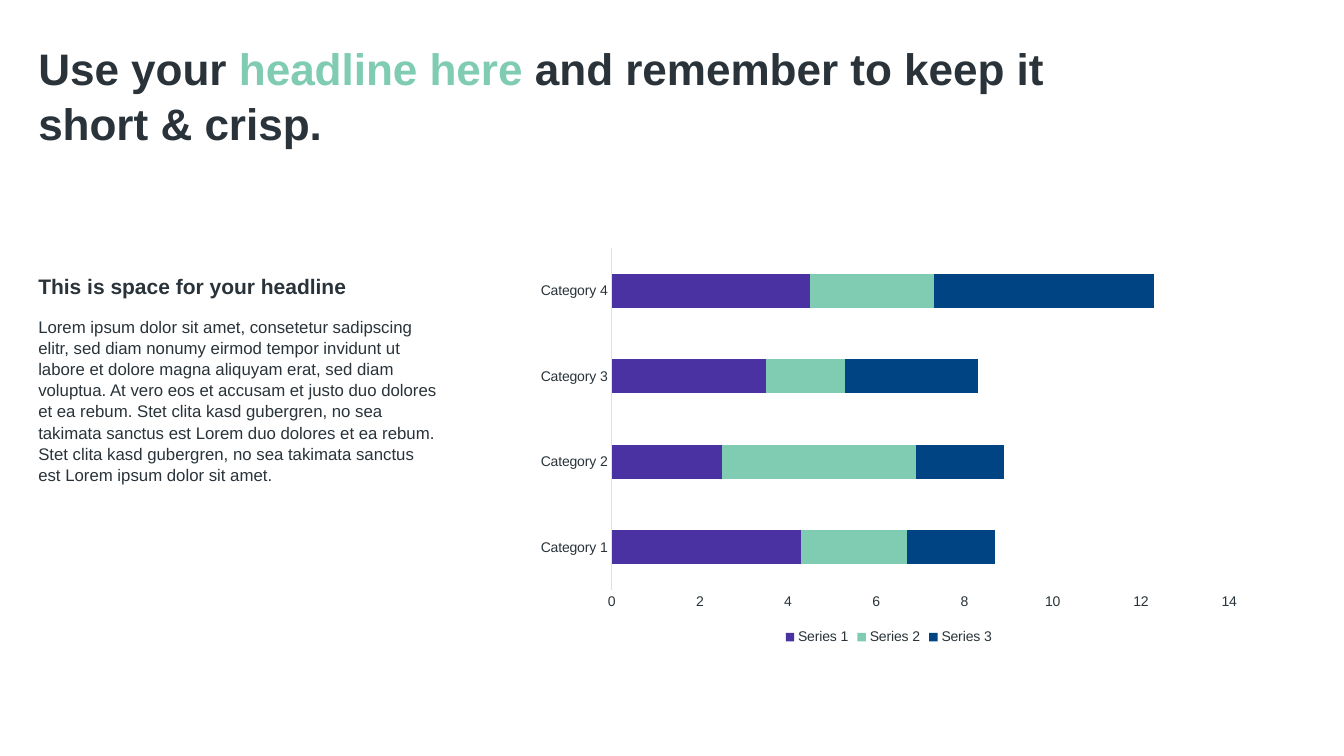
from pptx import Presentation
from pptx.chart.data import CategoryChartData
from pptx.dml.color import RGBColor
from pptx.enum.chart import XL_CHART_TYPE, XL_LEGEND_POSITION, XL_TICK_MARK
from pptx.enum.text import MSO_ANCHOR, PP_ALIGN
from pptx.util import Inches, Pt

BAR_STACKED = XL_CHART_TYPE.BAR_STACKED
LEGEND_BOTTOM = XL_LEGEND_POSITION.BOTTOM
NO_TICKS = XL_TICK_MARK.NONE
TOP, BOTTOM = MSO_ANCHOR.TOP, MSO_ANCHOR.BOTTOM
LEFT = PP_ALIGN.LEFT

FONT = "Arial"
INK, MINT, PURPLE, NAVY, AXIS_GREY = "293339", "7FCCB2", "4A32A3", "004484", "DBE1E5"
MARGIN = 0.38

HEADLINE = [
    ("Use your ", INK),
    ("headline here ", MINT),
    ("and remember to keep it short & crisp.", INK),
]
SUBHEAD = "This is space for your headline"
BODY = (
    "Lorem ipsum dolor sit amet, consetetur sadipscing elitr, sed diam nonumy "
    "eirmod tempor invidunt ut labore et dolore magna aliquyam erat, sed diam "
    "voluptua. At vero eos et accusam et justo duo dolores et ea rebum. Stet "
    "clita kasd gubergren, no sea takimata sanctus est Lorem duo dolores et ea "
    "rebum. Stet clita kasd gubergren, no sea takimata sanctus est Lorem ipsum "
    "dolor sit amet."
)
CATEGORIES = ["Category 1", "Category 2", "Category 3", "Category 4"]
SERIES = [
    ("Series 1", [4.3, 2.5, 3.5, 4.5], PURPLE),
    ("Series 2", [2.4, 4.4, 1.8, 2.8], MINT),
    ("Series 3", [2, 2, 3, 5], NAVY),
]


def rgb(hex_color):
    return RGBColor.from_string(hex_color)


def style_font(font, size, color=INK, bold=False):
    font.name = FONT
    font.size = Pt(size)
    font.bold = bold
    font.color.rgb = rgb(color)


def set_frame(frame, anchor):
    """Wrap the text, remove the insets and return the first paragraph."""
    frame.word_wrap = True
    frame.vertical_anchor = anchor
    frame.margin_left = frame.margin_right = 0
    frame.margin_top = frame.margin_bottom = 0
    paragraph = frame.paragraphs[0]
    paragraph.alignment = LEFT
    return paragraph


def place_headline(title):
    title.left, title.top = Inches(MARGIN), Inches(MARGIN)
    title.width, title.height = Inches(10.7), Inches(1.14)
    paragraph = set_frame(title.text_frame, TOP)
    paragraph.line_spacing = 1.05
    for text, color in HEADLINE:
        run = paragraph.add_run()
        run.text = text
        style_font(run.font, 31.5, color, bold=True)


def add_text(slide, text, top, height, size, anchor=TOP, bold=False, spacing=1.05):
    box = slide.shapes.add_textbox(
        Inches(MARGIN), Inches(top), Inches(4), Inches(height)
    )
    paragraph = set_frame(box.text_frame, anchor)
    paragraph.text = text
    paragraph.line_spacing = spacing
    style_font(paragraph.runs[0].font, size, bold=bold)


def add_stacked_bars(slide):
    data = CategoryChartData()
    data.categories = CATEGORIES
    for name, values, _ in SERIES:
        data.add_series(name, values)
    chart = slide.shapes.add_chart(
        BAR_STACKED, Inches(5.22), Inches(2.38), Inches(7.19), Inches(4.06), data
    ).chart
    style_font(chart.font, 10)
    chart.has_title = False
    chart.has_legend = True
    chart.legend.position = LEGEND_BOTTOM
    chart.legend.include_in_layout = False
    style_font(chart.legend.font, 10)

    plot = chart.plots[0]
    plot.gap_width = 150
    plot.overlap = 100
    plot.vary_by_categories = False
    for series, (_, _, color) in zip(plot.series, SERIES):
        series.format.fill.solid()
        series.format.fill.fore_color.rgb = rgb(color)

    for axis in (chart.category_axis, chart.value_axis):
        axis.major_tick_mark = axis.minor_tick_mark = NO_TICKS
        axis.has_major_gridlines = False
        style_font(axis.tick_labels.font, 10)
    chart.value_axis.format.line.fill.background()
    category_line = chart.category_axis.format.line
    category_line.color.rgb = rgb(AXIS_GREY)
    category_line.width = Pt(0.75)


def main():
    deck = Presentation()
    deck.slide_width, deck.slide_height = Inches(13.33), Inches(7.5)
    slide = deck.slides.add_slide(deck.slide_layouts.get_by_name("Title Only"))
    place_headline(slide.shapes.title)
    add_text(slide, SUBHEAD, 2.38, 0.58, 15, anchor=BOTTOM, bold=True)
    add_text(slide, BODY, 3.13, 3.81, 12)
    add_stacked_bars(slide)
    deck.save("out.pptx")


if __name__ == "__main__":
    main()
